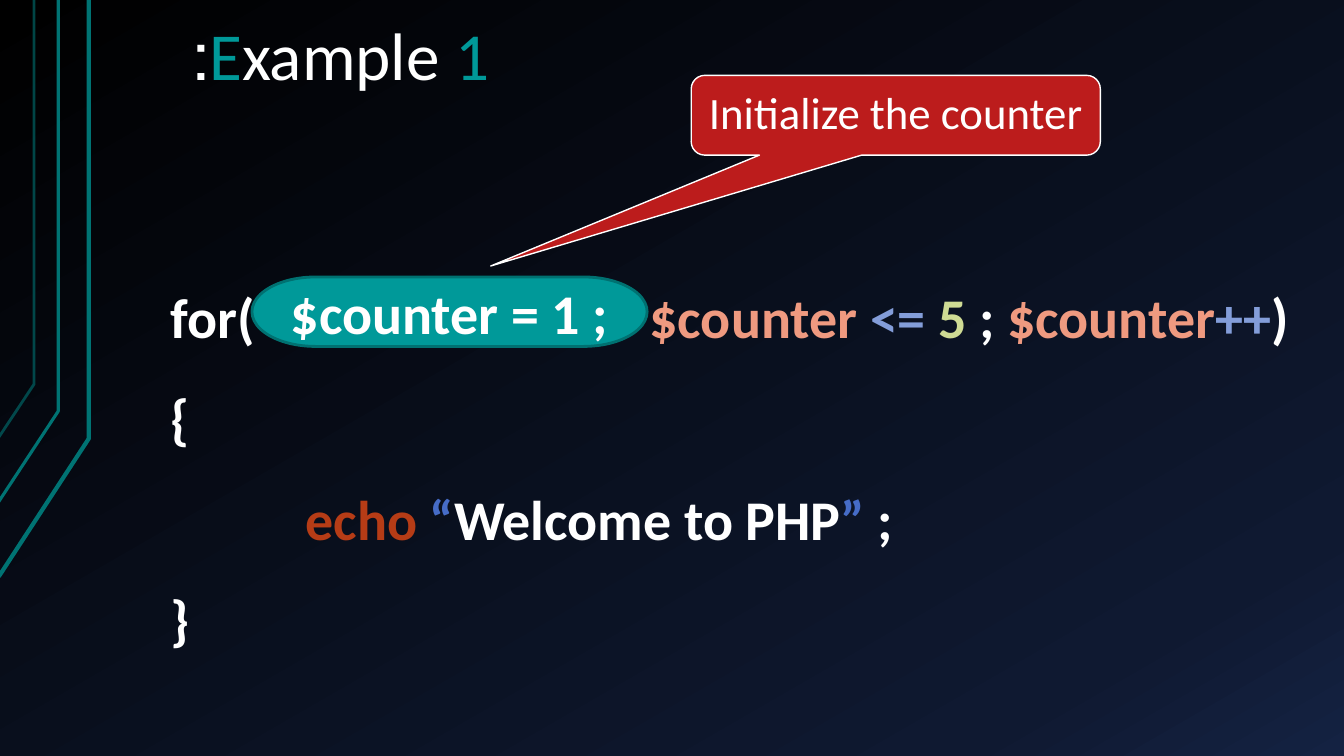
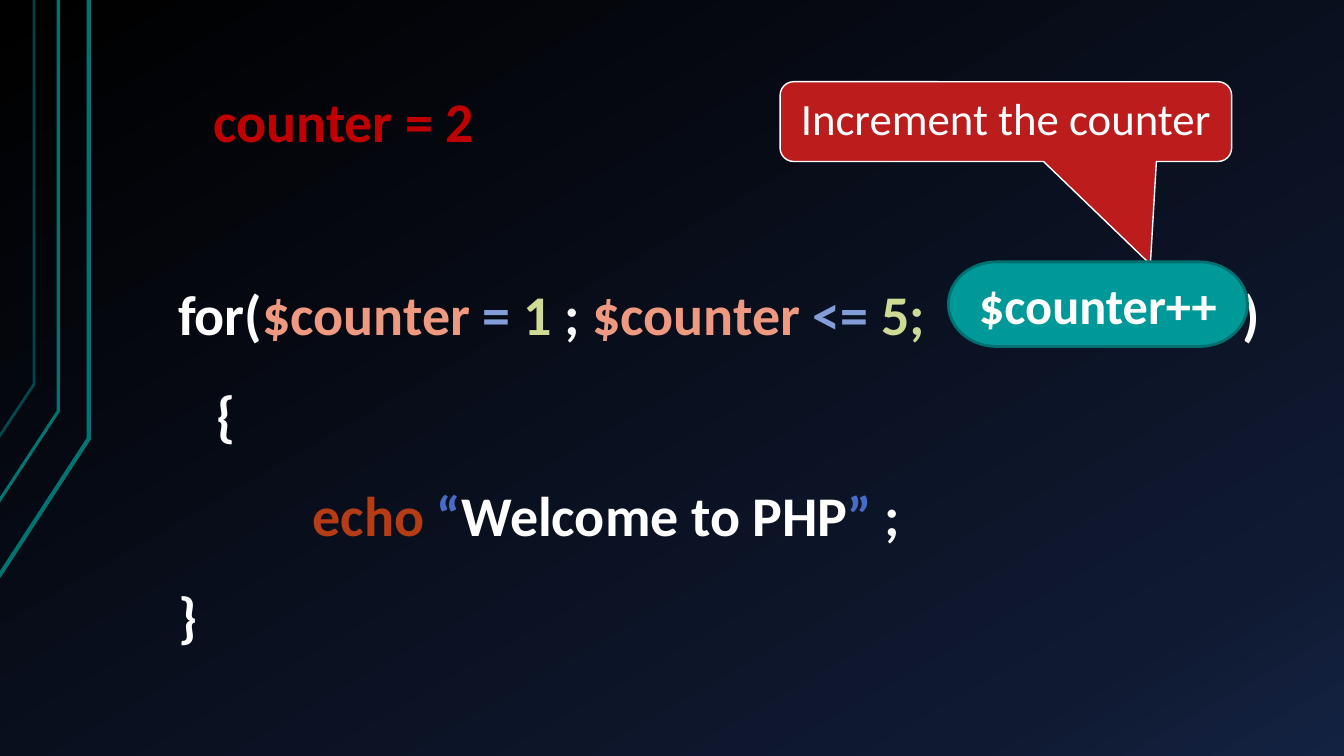
from lxml.etree import SubElement
from pptx import Presentation
from pptx.dml.color import RGBColor
from pptx.enum.shapes import MSO_SHAPE
from pptx.enum.text import MSO_ANCHOR, MSO_AUTO_SIZE, PP_ALIGN
from pptx.oxml import parse_xml
from pptx.oxml.ns import nsdecls, qn
from pptx.util import Cm, Pt

FONT = "Calibri"
WHITE, TEAL, TEAL_EDGE, TEAL_LINE = "FFFFFF", "009999", "007171", "007373"
CALLOUT_RED, STATE_RED = "BC1C1C", "C00000"
VARIABLE, OPERATOR, NUMBER = "EF9A80", "839DD9", "CFDB94"
KEYWORD, QUOTE = "B63C16", "466CC7"

BACKGROUND_STOPS = [(0, "000000"), (85, "0F1931"), (100, "142242")]
BACKGROUND_ANGLE = 60
# Points in cm, line width in pt, opacity in percent
CIRCUIT_LINES = [
    ([(-0.03, 14.53), (2.24, 11.05), (2.24, 0)], 3, 100),
    ([(-0.05, 12.67), (1.47, 10.36), (1.47, 0)], 2.25, 100),
    ([(-0.03, 11.02), (0.86, 9.68), (0.86, 0)], 2, 60),
]

TITLE = [("E", TEAL), ("xample ", WHITE), ("1", TEAL), (":", WHITE)]
ECHO = [("echo ", KEYWORD), ("“", QUOTE), ("Welcome to PHP", WHITE),
        ("”", QUOTE), (" ;", WHITE)]
OPEN_BRACE, CLOSE_BRACE = [("{", WHITE)], [("}", WHITE)]
ECHO_INDENT = 3.39

# Boxes are left, top, width, height in cm; code lines are (indent, runs)
INITIALIZE = {
    "code_box": (4.06, 6.15, 29.79, 10.77),
    "tab": 12.06,
    "code": [
        (0, [("for(\t", WHITE), ("$counter ", VARIABLE), ("<= ", OPERATOR),
             ("5 ", NUMBER), ("; ", WHITE), ("$counter", VARIABLE),
             ("++", OPERATOR), (")", WHITE)]),
        (0, OPEN_BRACE),
        (ECHO_INDENT, ECHO),
        (0, CLOSE_BRACE),
    ],
    "callout": ("Initialize the counter", (17.42, 1.9, 10.31, 2.01), (-0.99, 1.89)),
    "pill": ("$counter = 1 ;", (6.35, 6.98, 9.96, 1.75), 40),
}
INCREMENT = {
    "code_box": (4.24, 6.07, 28.14, 10.52),
    "tab": 26.82,
    "code": [
        (0, [("for(", WHITE), ("$counter ", VARIABLE), ("= ", OPERATOR),
             ("1 ", NUMBER), ("; ", WHITE), ("$counter ", VARIABLE),
             ("<= ", OPERATOR), ("5;\t", NUMBER), (")", WHITE)]),
        (0.97, OPEN_BRACE),
        (ECHO_INDENT, ECHO),
        (0, CLOSE_BRACE),
    ],
    "callout": ("Increment the counter", (19.66, 2.06, 11.38, 2.01), (0.32, 1.79)),
    "pill": ("$counter++", (23.9, 6.6, 7.54, 2.13), 36),
}


def rgb(color):
    return RGBColor.from_string(color)


def cm_box(box):
    return [Cm(length) for length in box]


def set_font(paragraph, size, bold=False):
    paragraph.font.name = FONT
    paragraph.font.size = Pt(size)
    paragraph.font.bold = bold


def add_runs(paragraph, runs):
    for text, color in runs:
        run = paragraph.add_run()
        run.text = text
        run.font.color.rgb = rgb(color)


def set_master_background(master):
    master.background.fill.solid()
    stops = "".join(
        f'<a:gs pos="{position * 1000}"><a:srgbClr val="{color}"/></a:gs>'
        for position, color in BACKGROUND_STOPS)
    gradient = parse_xml(
        f'<a:gradFill {nsdecls("a")} rotWithShape="1"><a:gsLst>{stops}</a:gsLst>'
        f'<a:lin ang="{BACKGROUND_ANGLE * 60000}" scaled="0"/></a:gradFill>')
    properties = master._element.find(".//" + qn("p:bgPr"))
    properties.replace(properties[0], gradient)


def add_circuit_lines(master, slide):
    """Draw the lines on a slide, then move them to the master."""
    for points, width, opacity in CIRCUIT_LINES:
        start, *others = [(Cm(x), Cm(y)) for x, y in points]
        builder = slide.shapes.build_freeform(*start)
        builder.add_line_segments(others, close=False)
        shape = builder.convert_to_shape()
        shape.shadow.inherit = False
        shape.fill.background()
        shape.line.width = Pt(width)
        shape.line.color.rgb = rgb(TEAL_LINE)
        if opacity < 100:
            color = shape._element.spPr.find(".//" + qn("a:srgbClr"))
            SubElement(color, qn("a:alpha"), val=str(opacity * 1000))
        master.shapes._spTree.append(shape._element)


def add_label_shape(slide, kind, box, text, size, colors, line_width, bold, anchor):
    shape = slide.shapes.add_shape(kind, *cm_box(box))
    shape.shadow.inherit = False
    fill, line = colors
    shape.fill.solid()
    shape.fill.fore_color.rgb = rgb(fill)
    shape.line.color.rgb = rgb(line)
    shape.line.width = Pt(line_width)
    frame = shape.text_frame
    frame.word_wrap = False
    frame.vertical_anchor = anchor
    paragraph = frame.paragraphs[0]
    paragraph.alignment = PP_ALIGN.CENTER
    set_font(paragraph, size, bold)
    add_runs(paragraph, [(text, WHITE)])
    return shape


def add_callout(slide, text, box, tip):
    callout = add_label_shape(
        slide, MSO_SHAPE.ROUNDED_RECTANGULAR_CALLOUT, box, text, 32,
        (CALLOUT_RED, WHITE), 1, False, MSO_ANCHOR.TOP)
    for index, value in enumerate((*tip, 0.17)):
        callout.adjustments[index] = value


def add_pill(slide, text, box, size):
    add_label_shape(
        slide, MSO_SHAPE.FLOWCHART_TERMINATOR, box, text, size,
        (TEAL, TEAL_EDGE), 2, True, MSO_ANCHOR.MIDDLE)


def add_code(slide, box, lines, tab):
    frame = slide.shapes.add_textbox(*cm_box(box)).text_frame
    frame.word_wrap = True
    for index, (indent, runs) in enumerate(lines):
        paragraph = frame.add_paragraph() if index else frame.paragraphs[0]
        properties = paragraph._p.get_or_add_pPr()
        if indent:
            properties.set("marL", str(Cm(indent)))
        if any("\t" in text for text, _ in runs):
            tabs = SubElement(properties, qn("a:tabLst"))
            SubElement(tabs, qn("a:tab"), pos=str(Cm(tab)), algn="l")
        paragraph.line_spacing = 1.5
        set_font(paragraph, 40, bold=True)
        add_runs(paragraph, runs)


def add_loop_parts(slide, step):
    add_code(slide, step["code_box"], step["code"], step["tab"])
    add_callout(slide, *step["callout"])
    add_pill(slide, *step["pill"])


def fill_title(slide):
    title = slide.shapes.title
    title.left, title.top, title.width, title.height = cm_box((4.52, 0.46, 11.43, 2.11))
    frame = title.text_frame
    frame.auto_size = MSO_AUTO_SIZE.NONE
    frame.vertical_anchor = MSO_ANCHOR.BOTTOM
    frame.margin_left = frame.margin_right = Cm(0.33)
    frame.margin_top = frame.margin_bottom = Cm(0.18)
    paragraph = frame.paragraphs[0]
    paragraph._p.get_or_add_pPr().set("rtl", "1")
    paragraph.alignment = PP_ALIGN.LEFT
    paragraph.line_spacing = 0.9
    set_font(paragraph, 48)
    add_runs(paragraph, TITLE)


def add_counter_state(slide):
    frame = slide.shapes.add_textbox(*cm_box((5.13, 2.06, 7.32, 1.96))).text_frame
    paragraph = frame.paragraphs[0]
    set_font(paragraph, 40, bold=True)
    add_runs(paragraph, [("counter = 2", STATE_RED)])


def main():
    presentation = Presentation()
    presentation.slide_width, presentation.slide_height = Cm(33.87), Cm(19.05)
    title_only, blank = presentation.slide_layouts[5], presentation.slide_layouts[6]
    master = presentation.slide_master
    set_master_background(master)

    initialize_slide = presentation.slides.add_slide(title_only)
    add_circuit_lines(master, initialize_slide)
    fill_title(initialize_slide)
    add_loop_parts(initialize_slide, INITIALIZE)

    increment_slide = presentation.slides.add_slide(blank)
    add_loop_parts(increment_slide, INCREMENT)
    add_counter_state(increment_slide)

    presentation.save("out.pptx")


if __name__ == "__main__":
    main()
